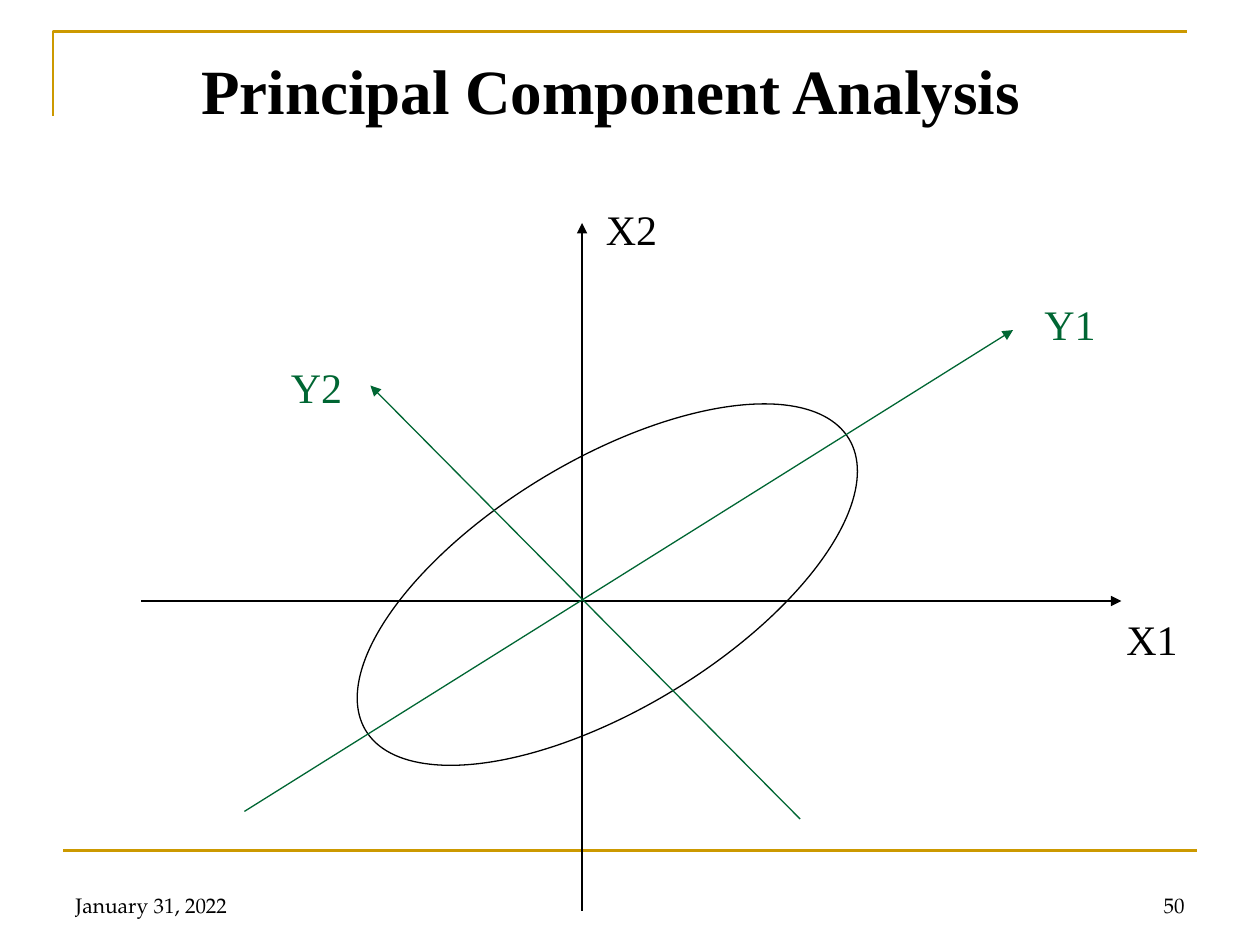
from lxml import etree
from pptx import Presentation
from pptx.dml.color import RGBColor
from pptx.enum.shapes import MSO_CONNECTOR, MSO_SHAPE
from pptx.enum.text import MSO_ANCHOR, PP_ALIGN
from pptx.oxml.ns import qn
from pptx.util import Inches, Pt

STRAIGHT = MSO_CONNECTOR.STRAIGHT
ELLIPSE = MSO_SHAPE.OVAL
LEFT, RIGHT = PP_ALIGN.LEFT, PP_ALIGN.RIGHT
TOP, BOTTOM = MSO_ANCHOR.TOP, MSO_ANCHOR.BOTTOM
BLACK, GREEN, GOLD = "000000", "006633", "CC9900"
SERIF, FOOTER_FONT = "Times New Roman", "TeX Gyre Pagella"


def set_line(shape, color, width):
    """Give an outline its colour and its width in points."""
    shape.line.color.rgb = RGBColor.from_string(color)
    shape.line.width = Pt(width)


def add_line(slide, start, end, color, width=0.75, arrow=False):
    """Draw a straight line, with an optional arrowhead at its end."""
    line = slide.shapes.add_connector(
        STRAIGHT, *(Inches(value) for value in (*start, *end)))
    set_line(line, color, width)
    properties = line._element.spPr
    if arrow:
        etree.SubElement(properties.find(qn("a:ln")), qn("a:tailEnd"), type="triangle")
    etree.SubElement(properties, qn("a:effectLst"))


def add_text(slide, box, text, size, font=SERIF, color=BLACK, bold=False,
             align=LEFT, anchor=TOP, wrap=True):
    """Place one line of text in a box of left, top, width, height."""
    shape = slide.shapes.add_textbox(*(Inches(value) for value in box))
    frame = shape.text_frame
    frame.word_wrap = wrap
    frame.vertical_anchor = anchor
    paragraph = frame.paragraphs[0]
    paragraph.alignment = align
    run = paragraph.add_run()
    run.text = text
    run.font.name = font
    run.font.size = Pt(size)
    run.font.bold = bold
    run.font.color.rgb = RGBColor.from_string(color)


def add_frame(slide, left, top, width, height):
    """Draw the gold corner at the top and the gold rule at the bottom."""
    builder = slide.shapes.build_freeform(
        Inches(left), Inches(top + 0.67), scale=1.0)
    builder.add_line_segments(
        [(Inches(left), Inches(top)), (Inches(left + width), Inches(top))],
        close=False)
    corner = builder.convert_to_shape()
    corner.shadow.inherit = False
    corner.fill.background()
    set_line(corner, GOLD, 1.5)
    rule_left, rule_top = left + 0.08, top + height
    add_line(slide, (rule_left, rule_top), (rule_left + width, rule_top), GOLD, 1.5)


def add_footer(slide, left, top, width, height):
    """Write the date at the left and the slide number at the right."""
    field = 2.33
    for text, field_left, align in (
            ("January 31, 2022", left, LEFT), ("50", left + width - field, RIGHT)):
        add_text(slide, (field_left, top, field, height), text, 12,
                 FOOTER_FONT, align=align, anchor=BOTTOM)


def add_diagram(slide, left, top):
    """Draw the original axes, the data ellipse and the principal axes."""
    def place(point):
        return left + point[0], top + point[1]

    def add_axis(start, end, label, label_corner, color):
        add_line(slide, place(start), place(end), color, arrow=True)
        add_text(slide, (*place(label_corner), 0.61, 0.5), label, 24,
                 color=color, wrap=False)

    add_axis((0, 3.2), (7.78, 3.2), "X1", (7.72, 3.25), BLACK)
    add_axis((3.5, 5.66), (3.5, 0.2), "X2", (3.59, 0), BLACK)

    ellipse = slide.shapes.add_shape(
        ELLIPSE, *(Inches(value) for value in (*place((1.46, 2.08)), 4.48, 1.98)))
    ellipse.rotation = 328.9
    ellipse.shadow.inherit = False
    ellipse.fill.background()
    set_line(ellipse, BLACK, 0.75)

    add_axis((0.82, 4.87), (6.92, 1.05), "Y1", (7.07, 0.75), GREEN)
    add_axis((5.23, 4.93), (1.82, 1.49), "Y2", (1.09, 1.25), GREEN)


def main():
    """Build the slide and save it."""
    presentation = Presentation()
    presentation.slide_width = Inches(10)
    presentation.slide_height = Inches(7.5)
    slide = presentation.slides.add_slide(presentation.slide_layouts[6])
    add_frame(slide, 0.42, 0.25, 9, 6.5)
    add_footer(slide, 0.5, 6.83, 9, 0.5)
    add_diagram(slide, 1.12, 1.57)
    add_text(slide, (1.5, 0.36, 7.33, 0.7), "Principal Component Analysis", 36, bold=True)
    presentation.save("out.pptx")


main()
